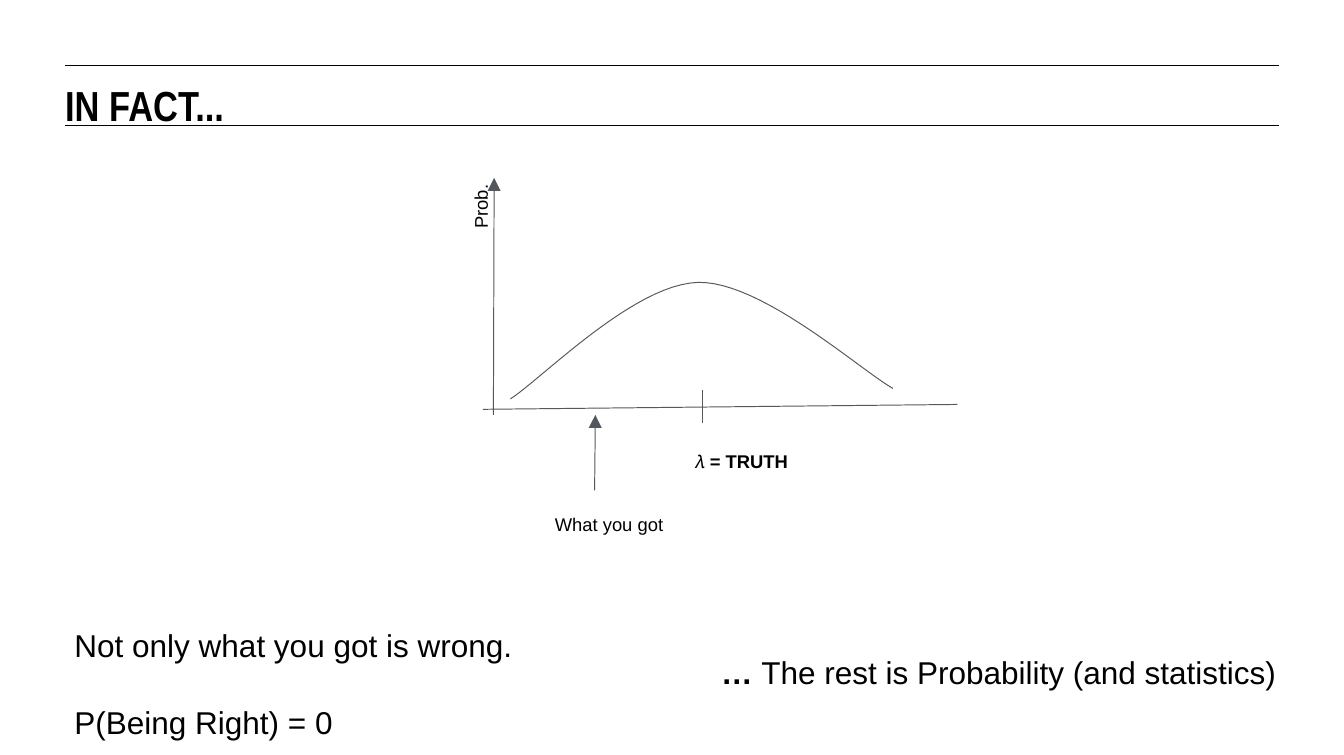
from dataclasses import dataclass

from lxml import etree
from pptx import Presentation
from pptx.dml.color import RGBColor
from pptx.enum.shapes import MSO_CONNECTOR
from pptx.enum.text import MSO_ANCHOR, MSO_AUTO_SIZE, PP_ALIGN
from pptx.oxml.ns import qn
from pptx.util import Cm, Pt

STRAIGHT = MSO_CONNECTOR.STRAIGHT
TOP, MIDDLE = MSO_ANCHOR.TOP, MSO_ANCHOR.MIDDLE
LEFT = PP_ALIGN.LEFT
NO_FIT = MSO_AUTO_SIZE.NONE
TWO_CONTENT = 3


@dataclass(frozen=True)
class Theme:
    ink: RGBColor = RGBColor(0x00, 0x00, 0x00)
    graph: RGBColor = RGBColor(0x53, 0x58, 0x5F)
    title_font: str = "Arial Narrow"
    font: str = "Arial"
    title_size: int = 32
    body_size: int = 24
    label_size: int = 14
    line_width: float = 0.75
    line_spacing: float = 1.05
    inset: float = 0.25


def bezier(a, b, c, d, steps=24):
    for i in range(1, steps + 1):
        t = i / steps
        u = 1 - t
        yield tuple(
            u**3 * p + 3 * u * u * t * q + 3 * u * t * t * r + t**3 * s
            for p, q, r, s in zip(a, b, c, d)
        )


class Deck:
    def __init__(self, prs, theme):
        self.theme = theme
        self.s = prs.slides.add_slide(prs.slide_layouts[TWO_CONTENT])

    def set_text(self, sp, box, paragraphs, size, font=None, anchor=TOP, inset=None, gap=0):
        t = self.theme
        sp.left, sp.top, sp.width, sp.height = map(Cm, box)
        margin = Cm(t.inset if inset is None else inset)
        tf = sp.text_frame
        frame = {
            "word_wrap": True,
            "auto_size": NO_FIT,
            "vertical_anchor": anchor,
            "margin_left": margin,
            "margin_right": margin,
            "margin_top": margin,
            "margin_bottom": margin,
        }
        for name, value in frame.items():
            setattr(tf, name, value)
        for i, runs in enumerate(paragraphs):
            p = tf.add_paragraph() if i else tf.paragraphs[0]
            layout = {
                "alignment": LEFT,
                "line_spacing": t.line_spacing,
                "space_before": Pt(gap if i else 0),
                "space_after": Pt(0),
            }
            for name, value in layout.items():
                setattr(p, name, value)
            for text, bold in runs:
                r = p.add_run()
                r.text = text
                style = {"name": font or t.font, "size": Pt(size), "bold": bold}
                for name, value in style.items():
                    setattr(r.font, name, value)
                r.font.color.rgb = t.ink

    def title(self, box, text):
        t = self.theme
        self.set_text(self.s.shapes.title, box, [[(text, True)]],
                      t.title_size, t.title_font, inset=0)

    def body(self, idx, box, paragraphs, gap=0):
        sp = self.s.placeholders[idx]
        self.set_text(sp, box, paragraphs, self.theme.body_size, gap=gap)
        for p in sp.text_frame.paragraphs:
            pPr = p._p.get_or_add_pPr()
            pPr.set("marL", "0")
            pPr.set("indent", "0")
            etree.SubElement(pPr, qn("a:buNone"))

    def label(self, box, text, bold=False, anchor=MIDDLE, rotation=0):
        sp = self.s.shapes.add_textbox(*map(Cm, box))
        self.set_text(sp, box, [[(text, bold)]], self.theme.label_size, anchor=anchor)
        sp.rotation = rotation

    def line(self, start, end, color, arrow=False):
        sp = self.s.shapes.add_connector(STRAIGHT, *map(Cm, start + end))
        sp.line.color.rgb = color
        sp.line.width = Pt(self.theme.line_width)
        spPr = sp._element.spPr
        if arrow:
            etree.SubElement(spPr.find(qn("a:ln")), qn("a:tailEnd"),
                             type="triangle", w="lg", len="lg")
        etree.SubElement(spPr, qn("a:effectLst"))

    def curve(self, start, *segments):
        points = []
        for segment in segments:
            origin = points[-1] if points else start
            points.extend(bezier(origin, *segment))
        builder = self.s.shapes.build_freeform(*map(Cm, start))
        builder.add_line_segments([(Cm(x), Cm(y)) for x, y in points], close=False)
        sp = builder.convert_to_shape()
        sp.shadow.inherit = False
        sp.fill.background()
        sp.line.color.rgb = self.theme.graph
        sp.line.width = Pt(self.theme.line_width)


def main():
    prs = Presentation()
    prs.slide_width, prs.slide_height = Cm(36.12), Cm(20.29)
    theme = Theme()
    deck = Deck(prs, theme)

    for y in (1.75, 3.38):
        deck.line((1.75, y), (34.37, y), theme.ink)
    deck.title((1.75, 2.06, 32.03, 1.19), "IN FACT...")

    deck.line((12.98, 11), (25.73, 10.87), theme.graph)
    deck.line((13.26, 11.15), (13.28, 4.78), theme.graph, arrow=True)
    deck.line((18.87, 11.38), (18.87, 10.49), theme.graph)
    deck.curve(
        (13.72, 10.72),
        ((14.55, 10.19), (17.02, 7.65), (18.75, 7.59)),
        ((20.45, 7.54), (23.14, 9.96), (24, 10.44)),
    )
    deck.label((11.56, 5.16, 2.06, 0.41), "Prob.", anchor=TOP, rotation=270)
    deck.label((18.42, 11.79, 4.57, 1.19), "𝜆 = TRUTH", bold=True)
    deck.line((15.98, 13.18), (16, 11.15), theme.graph, arrow=True)
    deck.label((14.66, 13.49, 4.22, 1.19), "What you got")

    deck.body(1, (1.75, 16.51, 12.57, 3.12), [
        [("Not only what you got is wrong.", False)],
        [("P(Being Right) = 0", False)],
    ], gap=29)
    deck.body(2, (19.13, 17.25, 16.99, 2.39), [
        [("… ", True), ("The rest is Probability (and statistics)", False)],
    ])
    prs.save("out.pptx")


if __name__ == "__main__":
    main()
